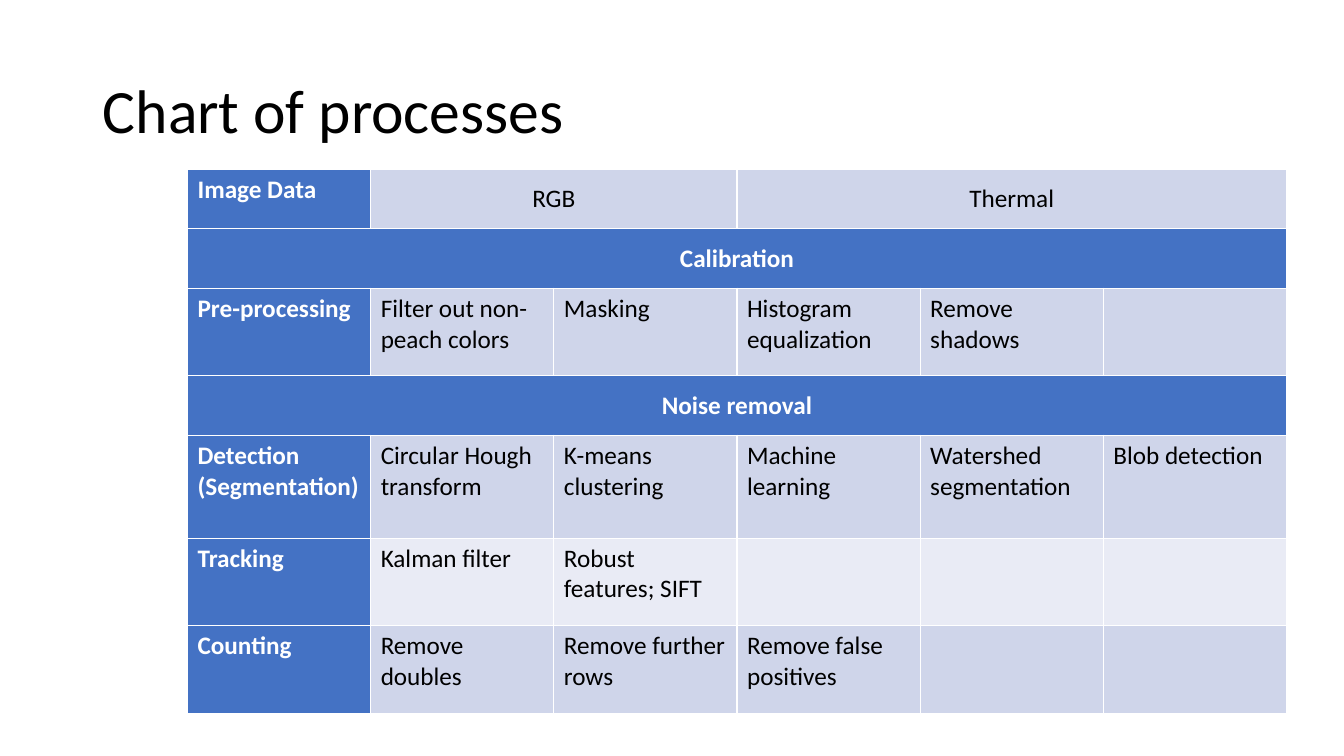
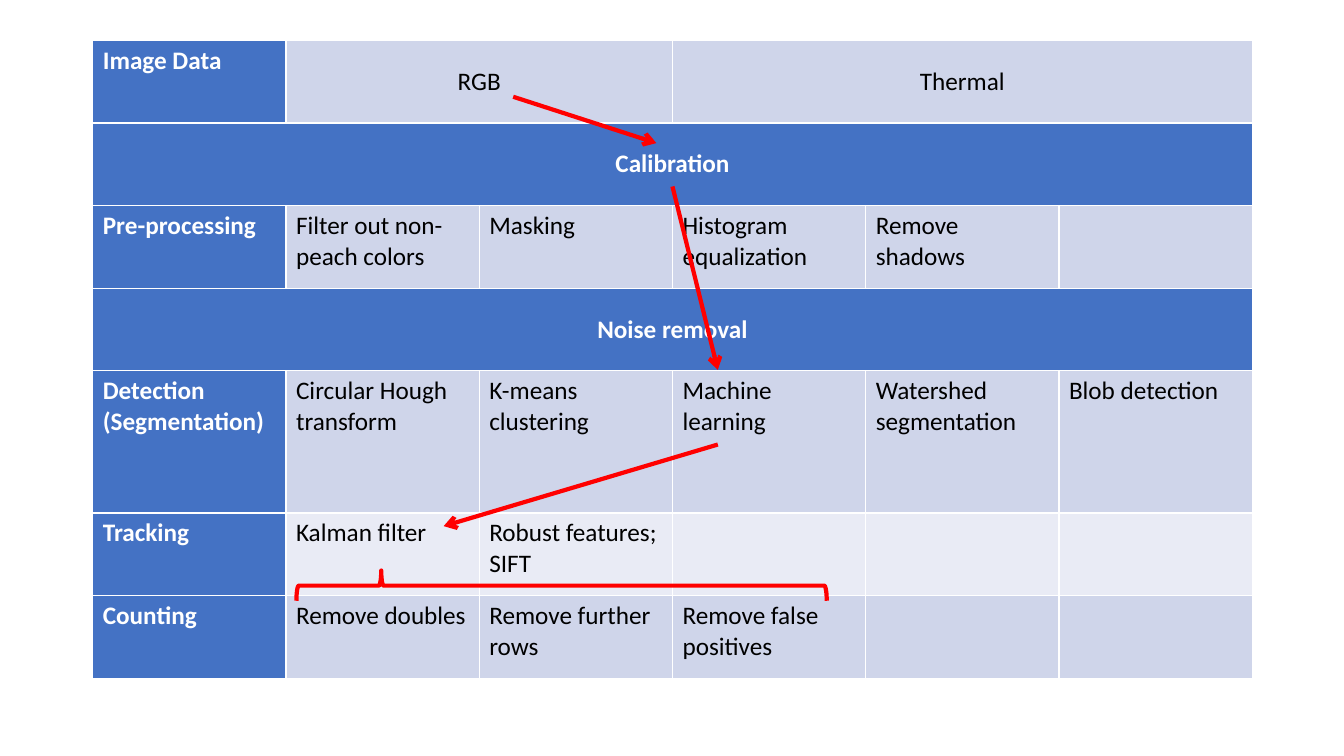
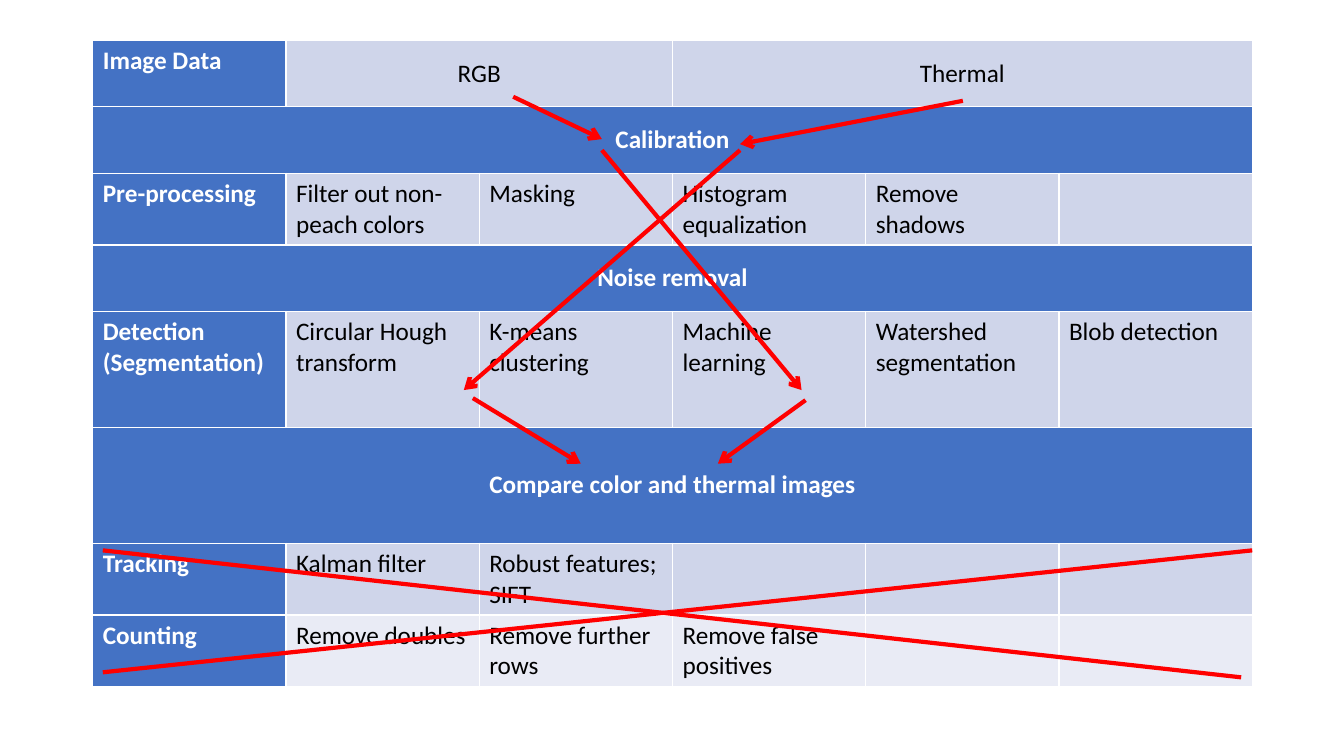
from dataclasses import dataclass

from lxml.etree import SubElement
from pptx import Presentation
from pptx.dml.color import RGBColor
from pptx.enum.shapes import MSO_CONNECTOR, MSO_SHAPE
from pptx.enum.text import MSO_ANCHOR, PP_ALIGN
from pptx.oxml.ns import qn
from pptx.util import Inches, Pt


@dataclass(frozen=True)
class Theme:
    """Colours, fonts and sizes shared by the slides."""

    font: str = "Calibri"
    title_size: int = 44
    cell_size: int = 18
    stroke: int = 3
    border: int = 1
    black: str = "000000"
    white: str = "FFFFFF"
    header: str = "4472C4"
    bands: tuple = ("CFD5EA", "E9EBF5")
    mark: str = "FF0000"


@dataclass(frozen=True)
class Box:
    """A region of the slide in inches."""

    left: float
    top: float
    width: float
    height: float

    def lengths(self):
        """Return the region as slide lengths."""
        return [Inches(side) for side in (self.left, self.top, self.width, self.height)]

    def point(self, across, down):
        """Return a point measured from the corner of the region."""
        return Inches(self.left + across), Inches(self.top + down)


THEME = Theme()
COLUMNS = 6
TITLE_ONLY, BLANK = 5, 6
TITLE_BOX = Box(0.92, 0.4, 11.5, 1.45)


def full_row(text):
    """Return a row whose text spans all the columns."""
    return (text,) + (None,) * (COLUMNS - 1)


SOURCES = ("Image Data", "RGB", None, "Thermal", None, None)
PREPARATION = [
    SOURCES,
    full_row("Calibration"),
    ("Pre-processing", "Filter out non-peach colors", "Masking",
     "Histogram equalization", "Remove shadows", ""),
    full_row("Noise removal"),
    ("Detection (Segmentation)", "Circular Hough transform", "K-means clustering",
     "Machine learning", "Watershed segmentation", "Blob detection"),
]
RESULTS = [
    ("Tracking", "Kalman filter", "Robust features; SIFT", "", "", ""),
    ("Counting", "Remove doubles", "Remove further rows", "Remove false positives", "", ""),
]
PROCESSES = PREPARATION + RESULTS
COMPARISON = PREPARATION + [full_row("Compare color and thermal images")] + RESULTS


def apply(target, values):
    """Set each named value on the target."""
    for name, value in values.items():
        setattr(target, name, value)


def format_text(frame, size, colour, bold=False, **paragraph_values):
    """Format the only paragraph of a text frame."""
    para = frame.paragraphs[0]
    apply(para, paragraph_values)
    apply(para.font, {"name": THEME.font, "size": Pt(size), "bold": bold})
    para.font.color.rgb = RGBColor.from_string(colour)


def add_borders(cell):
    """Draw thin lines on the four sides of a cell."""
    properties = cell._tc.get_or_add_tcPr()
    for side in ("a:lnL", "a:lnR", "a:lnT", "a:lnB"):
        line = SubElement(properties, qn(side), w=str(Pt(THEME.border)))
        SubElement(SubElement(line, qn("a:solidFill")), qn("a:srgbClr"), val=THEME.white)


def fill_cell(cell, text, is_header, is_centred, band):
    """Write and colour one cell."""
    cell.text = text
    format_text(cell.text_frame, THEME.cell_size,
                THEME.white if is_header else THEME.black, is_header,
                alignment=PP_ALIGN.CENTER if is_centred else PP_ALIGN.LEFT)
    cell.vertical_anchor = MSO_ANCHOR.MIDDLE if is_centred else MSO_ANCHOR.TOP
    add_borders(cell)
    cell.fill.solid()
    cell.fill.fore_color.rgb = RGBColor.from_string(THEME.header if is_header else band)


def add_process_table(page, box, rows, heights):
    """Place the table of processes in its box."""
    table = page.shapes.add_table(len(rows), COLUMNS, *box.lengths()).table
    apply(table, {"first_row": False, "horz_banding": False})
    for column in table.columns:
        column.width = Inches(box.width / COLUMNS)
    for index, (texts, height) in enumerate(zip(rows, heights)):
        table.rows[index].height = Inches(height)
        band = THEME.bands[index % 2]
        start = 0
        for position, text in enumerate(texts):
            if text is not None:
                start = position
            is_spanned = text is None or texts[position + 1:position + 2] == (None,)
            fill_cell(table.cell(index, position), text or "", start == 0, is_spanned, band)
            if text is None and texts[position + 1:position + 2] != (None,):
                table.cell(index, start).merge(table.cell(index, position))


def add_lines(page, box, lines, has_arrow=True):
    """Draw lines whose ends are measured from the box corner."""
    for start, end in lines:
        connector = page.shapes.add_connector(
            MSO_CONNECTOR.STRAIGHT, *box.point(*start), *box.point(*end))
        connector.line.width = Pt(THEME.stroke)
        connector.line.color.rgb = RGBColor.from_string(THEME.mark)
        properties = connector._element.spPr
        if has_arrow:
            SubElement(properties.find(qn("a:ln")), qn("a:tailEnd"), type="arrow")
        SubElement(properties, qn("a:effectLst"))


def add_brace(page, box):
    """Draw the upward brace over the counting steps."""
    brace = page.shapes.add_shape(
        MSO_SHAPE.RIGHT_BRACE, *box.point(4.5, 2.78), Inches(0.3), Inches(5.26))
    brace.rotation = 270
    brace.adjustments[0] = 0.08
    brace.adjustments[1] = 0.16
    brace.shadow.inherit = False
    brace.fill.background()
    brace.line.width = Pt(THEME.stroke)
    brace.line.color.rgb = RGBColor.from_string(THEME.mark)


def add_title(page, box, text):
    """Place and format the slide title."""
    title = page.shapes.title
    apply(title, dict(zip(("left", "top", "width", "height"), box.lengths())))
    title.text_frame.text = text
    title.text_frame.vertical_anchor = MSO_ANCHOR.MIDDLE
    format_text(title.text_frame, THEME.title_size, THEME.black,
                alignment=PP_ALIGN.LEFT, line_spacing=0.9)


def build_chart_slide(deck):
    """Build the titled overview."""
    page = deck.slides.add_slide(deck.slide_layouts[TITLE_ONLY])
    add_title(page, TITLE_BOX, "Chart of processes")
    add_process_table(page, Box(1.86, 1.68, 10.9, 5.42), PROCESSES,
                      (0.59, 0.59, 0.87, 0.59, 1.02, 0.87, 0.87))


def build_single_flow_slide(deck):
    """Build the flow that uses colour images only."""
    page = deck.slides.add_slide(deck.slide_layouts[BLANK])
    box = Box(0.92, 0.4, 11.5, 6.3)
    add_process_table(page, box, PROCESSES, (0.82,) * 4 + (1.41,) + (0.82,) * 2)
    add_lines(page, box, [
        ((4.17, 0.56), (5.59, 1.02)),
        ((5.75, 1.45), (6.2, 3.27)),
        ((6.2, 4.01), (3.48, 4.82)),
    ])
    add_brace(page, box)


def build_comparison_slide(deck):
    """Build the flow that compares both image sources."""
    page = deck.slides.add_slide(deck.slide_layouts[BLANK])
    box = Box(0.92, 0.4, 11.5, 6.38)
    add_process_table(page, box, COMPARISON,
                      (0.66, 0.66, 0.71, 0.66, 1.15, 1.15, 0.71, 0.71))
    add_lines(page, box, [
        ((4.17, 0.56), (5.05, 0.98)),
        ((6.42, 1.09), (3.68, 3.47)),
        ((5.05, 1.09), (7.03, 3.47)),
        ((8.63, 0.6), (6.42, 1.03)),
        ((3.77, 3.55), (4.84, 4.2)),
        ((7.07, 3.57), (6.2, 4.2)),
    ])
    add_lines(page, box, [
        ((11.5, 5.06), (0.1, 6.27)),
        ((11.39, 6.32), (0.1, 5.06)),
    ], has_arrow=False)


def main():
    """Build and save the deck."""
    deck = Presentation()
    apply(deck, {"slide_width": Inches(13.33), "slide_height": Inches(7.5)})
    for build in (build_chart_slide, build_single_flow_slide, build_comparison_slide):
        build(deck)
    deck.save("out.pptx")


if __name__ == "__main__":
    main()
